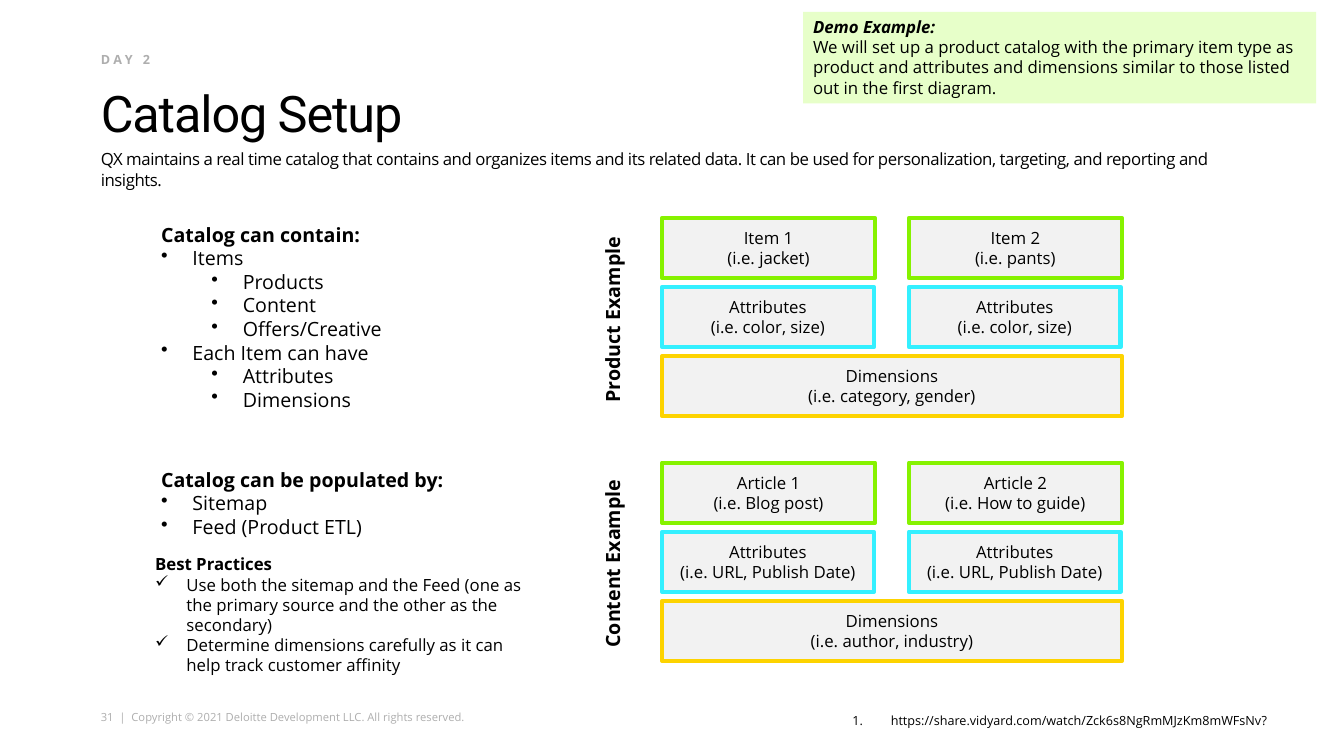
from lxml import etree
from pptx import Presentation
from pptx.dml.color import RGBColor
from pptx.enum.shapes import MSO_SHAPE
from pptx.enum.text import MSO_ANCHOR, PP_ALIGN
from pptx.oxml.ns import qn
from pptx.util import Cm, Pt

RECTANGLE = MSO_SHAPE.RECTANGLE
TOP, MIDDLE, BOTTOM = MSO_ANCHOR.TOP, MSO_ANCHOR.MIDDLE, MSO_ANCHOR.BOTTOM
LEFT, CENTER = PP_ALIGN.LEFT, PP_ALIGN.CENTER

BLACK, GRAY = "000000", "AEAEAE"
LIGHT_GRAY, LIGHT_GREEN = "F2F2F2", "E7FFC9"
GREEN, CYAN, YELLOW = "86F200", "34F0FF", "FDD300"

presentation = Presentation()
presentation.slide_width, presentation.slide_height = Cm(33.87), Cm(19.05)
slide = presentation.slides.add_slide(presentation.slide_layouts[6])


def add_block(left, top, width, height, fill=None, line=None):
    """Add a text box, or a rectangle when a fill is given."""
    place = Cm(left), Cm(top), Cm(width), Cm(height)
    if fill is None:
        shape = slide.shapes.add_textbox(*place)
    else:
        shape = slide.shapes.add_shape(RECTANGLE, *place)
        shape.shadow.inherit = False
        shape.fill.solid()
        shape.fill.fore_color.rgb = RGBColor.from_string(fill)
        if line is None:
            shape.line.fill.background()
        else:
            shape.line.color.rgb = RGBColor.from_string(line)
            shape.line.width = Pt(3)
    shape.text_frame.word_wrap = True
    shape.text_frame.vertical_anchor = TOP
    return shape


def write_text(shape, lines, size, color=BLACK, heading=False, alignment=LEFT,
               font="Open Sans", spacing=None, bullet=None, indent=0.79):
    """Write lines of (text, level); level 0 has no bullet."""
    frame = shape.text_frame
    for index, (text, level) in enumerate(lines):
        paragraph = frame.paragraphs[0] if index == 0 else frame.add_paragraph()
        run = paragraph.add_run()
        run.text = text
        paragraph.alignment = alignment
        if level:
            paragraph.level = level - 1
            properties = paragraph._p.get_or_add_pPr()
            properties.set("marL", str(Cm(indent + 1.27 * (level - 1))))
            properties.set("indent", str(-Cm(indent)))
            if bullet == "1.":
                etree.SubElement(properties, qn("a:buAutoNum"), type="arabicPeriod")
            else:
                etree.SubElement(properties, qn("a:buChar"), char=bullet)
        if spacing is not None:
            run._r.get_or_add_rPr().set("spc", str(spacing))
        paragraph.font.name = font
        paragraph.font.size = Pt(size)
        paragraph.font.bold = heading and index == 0
        paragraph.font.color.rgb = RGBColor.from_string(color)
    return frame


# Footer, title, subtitle and day label
footer = add_block(2.54, 17.91, 9.3, 0.33)
footer.text_frame.word_wrap = False
write_text(footer, [("31  |  Copyright © 2021 Deloitte Development LLC. All rights reserved.", 0)],
           8, GRAY)

title = add_block(2.54, 1.93, 28.78, 1.65)
title.text_frame.vertical_anchor = BOTTOM
write_text(title, [("Catalog Setup", 0)], 36, font="Roboto", spacing=-80)
title.text_frame.paragraphs[0].line_spacing = 0.8

subtitle = add_block(2.54, 3.76, 28.78, 1.32)
write_text(subtitle, [("QX maintains a real time catalog that contains and organizes items and its "
                       "related data. It can be used for personalization, targeting, and reporting "
                       "and insights.", 0)], 12, spacing=-30)

day_label = add_block(2.54, 1.3, 9.32, 0.56)
write_text(day_label, [("DAY 2", 0)], 9, GRAY, heading=True, spacing=250)

for header in (footer, title, subtitle, day_label):
    frame = header.text_frame
    frame.margin_left = frame.margin_right = frame.margin_top = frame.margin_bottom = 0
title.text_frame.margin_top = Cm(0.13)

# Reference link
reference = add_block(21.23, 17.83, 12.6, 0.64)
write_text(reference, [("https://share.vidyard.com/watch/Zck6s8NgRmMJzKm8mWFsNv?", 1)], 9,
           bullet="1.", indent=0.97)

# Demo note
demo_note = add_block(20.24, 0.3, 12.93, 2.31, LIGHT_GREEN)
demo_frame = write_text(demo_note, [
    ("Demo Example:", 0),
    ("We will set up a product catalog with the primary item type as product and attributes "
     "and dimensions similar to those listed out in the first diagram.", 0),
], 12, heading=True)
demo_frame.paragraphs[0].font.italic = True

# Lists on the left
contents = add_block(3.81, 5.49, 9.86, 5.05)
write_text(contents, [
    ("Catalog can contain:", 0),
    ("Items", 1), ("Products", 2), ("Content", 2), ("Offers/Creative", 2),
    ("Each Item can have", 1), ("Attributes", 2), ("Dimensions", 2),
], 14, heading=True, bullet="•")

sources = add_block(3.81, 11.66, 9.86, 2.06)
write_text(sources, [
    ("Catalog can be populated by:", 0), ("Sitemap", 1), ("Feed (Product ETL)", 1),
], 14, heading=True, bullet="•")

best_practices = add_block(3.66, 13.84, 10.03, 3.33)
write_text(best_practices, [
    ("Best Practices", 0),
    ("Use both the sitemap and the Feed (one as the primary source and the other as the "
     "secondary)", 1),
    ("Determine dimensions carefully as it can help track customer affinity", 1),
], 12, heading=True, bullet="✓")

# Example diagrams: two items, their attributes, shared dimensions
DIAGRAM_LEFT, COLUMN_STEP, ROW_STEP = 16.69, 6.22, 1.74
BOX_HEIGHT = 1.52
diagrams = [
    ("Product Example", 5.49, 4.98, [("Item 1", "(i.e. jacket)"), ("Item 2", "(i.e. pants)")],
     "(i.e. color, size)", "(i.e. category, gender)"),
    ("Content Example", 11.66, 11.13,
     [("Article 1", "(i.e. Blog post)"), ("Article 2", "(i.e. How to guide)")],
     "(i.e. URL, Publish Date)", "(i.e. author, industry)"),
]
for name, top, label_top, items, attributes, dimensions in diagrams:
    rows = [
        (GREEN, 5.36, items),
        (CYAN, 5.33, [("Attributes", attributes)] * 2),
        (YELLOW, 11.58, [("Dimensions", dimensions)]),
    ]
    for row, (line, width, boxes) in enumerate(rows):
        for column, texts in enumerate(boxes):
            box = add_block(DIAGRAM_LEFT + column * COLUMN_STEP, top + row * ROW_STEP,
                            width, BOX_HEIGHT, LIGHT_GRAY, line)
            box.text_frame.vertical_anchor = MIDDLE
            write_text(box, [(text, 0) for text in texts], 12, alignment=CENTER)

    label = add_block(15.01, label_top, 1.12, 6.15)
    label.text_frame._txBody.bodyPr.set("vert", "vert270")
    write_text(label, [(name, 0)], 14, heading=True, alignment=CENTER)

presentation.save("out.pptx")
